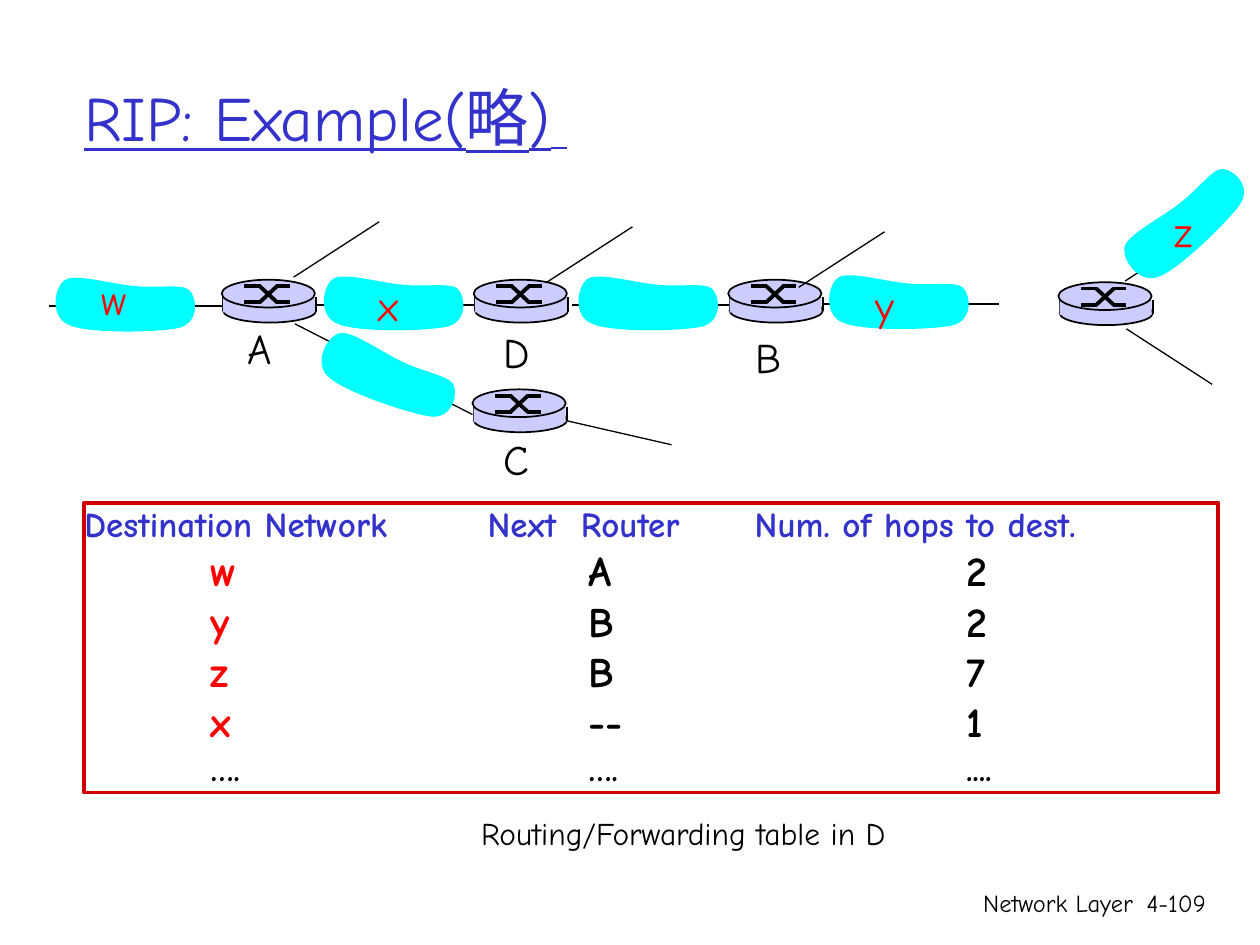
from dataclasses import dataclass

import lxml.etree
import pptx
import pptx.dml.color
import pptx.enum.shapes
import pptx.enum.text
import pptx.oxml.ns
import pptx.util

Inches, Pt = pptx.util.Inches, pptx.util.Pt
qn = pptx.oxml.ns.qn
MSO_SHAPE = pptx.enum.shapes.MSO_SHAPE
PP_ALIGN, MSO_ANCHOR = pptx.enum.text.PP_ALIGN, pptx.enum.text.MSO_ANCHOR
FIT = pptx.enum.text.MSO_AUTO_SIZE.SHAPE_TO_FIT_TEXT
FONT = "Comic Neue"
COLORS = {"ink": "000000", "blue": "3333CC", "red": "FF0000",
          "frame": "CC0000", "network": "00FFFF", "router": "CCCCFF"}


@dataclass
class Line:
    x1: float
    y1: float
    x2: float
    y2: float
    width: float = 0.75


@dataclass
class Network:
    x: float
    y: float
    rotation: float = 0


@dataclass
class Label:
    text: str
    x: float
    y: float
    w: float
    h: float = 0.5
    size: float = 24
    color: str = "ink"
    wrap: bool = False
    align: PP_ALIGN = PP_ALIGN.LEFT


WIRES = [Line(x, y, x + 1.4, y, 1) for x, y in
         [(0.39, 2.43), (2.52, 2.42), (4.54, 2.42), (6.53, 2.41)]]
ROUTERS = [(3.76, 2.22), (1.76, 2.22), (3.75, 3.09), (5.78, 2.22), (8.4, 2.24)]
SPOKES = [Line(x, y, x + 0.68, y - 0.44) for x, y in
          [(2.33, 2.2), (4.34, 2.24), (6.34, 2.28), (8.93, 2.23)]]
SPOKES += [Line(8.94, 2.61, 9.62, 3.05), Line(2.34, 2.57, 3.75, 3.29),
           Line(4.5, 3.34, 5.33, 3.53)]
NETWORKS = [Network(2.52, 2.16), Network(2.48, 2.74, 19.7), Network(0.39, 2.17),
            Network(4.54, 2.16), Network(6.53, 2.15), Network(8.8, 1.53, 316.8)]
# Start point, then three Bezier points for each of five curves
NETWORK_OUTLINE = [
    (0.68, 0.1),
    (0.52, 0.09), (0.22, 0), (0.13, 0.05),
    (0.04, 0.1), (0, 0.35), (0.16, 0.41),
    (0.31, 0.48), (0.88, 0.47), (1.04, 0.43),
    (1.2, 0.38), (1.17, 0.18), (1.11, 0.13),
    (1.05, 0.08), (0.84, 0.12), (0.68, 0.1),
]
ROUTER_SIDES = [Line(x, 0.14, x, 0.25, 1) for x in (0.01, 0.75)]
ROUTER_CROSS = [Line(*ends, 2.25) for ends in [
    (0.18, 0.05, 0.31, 0.05), (0.43, 0.18, 0.54, 0.18), (0.3, 0.05, 0.44, 0.18),
    (0.18, 0.18, 0.31, 0.18), (0.43, 0.05, 0.54, 0.05), (0.3, 0.18, 0.44, 0.05)]]
LABELS = [
    Label("w", 0.71, 2.12, 0.43, color="red"),
    Label("x", 2.91, 2.17, 0.4, color="red"),
    Label("y", 6.85, 2.17, 0.38, color="red"),
    Label("z", 9.22, 1.58, 0.38, color="red"),
    Label("A", 1.87, 2.51, 0.44),
    Label("C", 3.9, 3.39, 0.4),
    Label("D", 3.9, 2.54, 0.44),
    Label("B", 5.9, 2.58, 0.41),
    Label("Routing/Forwarding table in D", 3.72, 6.41, 3.7, 0.4, 18),
    Label("Network Layer", 5.92, 7, 3.17, size=14, wrap=True, align=PP_ALIGN.RIGHT),
    Label("4-109", 8.93, 7, 0.74, size=14, wrap=True, align=PP_ALIGN.RIGHT),
]
HEADER = "Destination Network\tNext\tRouter\tNum. of hops to dest."
HEADER_TABS = (3.2, 3.94, 5.32)
ROUTES = [("w", "A", "2"), ("y", "B", "2"), ("z", "B", "7"), ("x", "--", "1")]
ROUTE_TABS = (1, 4, 7)


def rgb(name: str) -> pptx.dml.color.RGBColor:
    return pptx.dml.color.RGBColor.from_string(COLORS[name])


def add_run(p, text: str, size: float, color: str, bold=None, underline=None) -> None:
    r = p.add_run()
    r.text = text
    r.font.name, r.font.size = FONT, Pt(size)
    r.font.bold, r.font.underline = bold, underline
    r.font.color.rgb = rgb(color)


def add_line(shapes, line: Line, dx: float = 0, dy: float = 0) -> None:
    s = shapes.add_connector(
        pptx.enum.shapes.MSO_CONNECTOR.STRAIGHT,
        Inches(line.x1 + dx), Inches(line.y1 + dy),
        Inches(line.x2 + dx), Inches(line.y2 + dy))
    s.line.color.rgb = rgb("ink")
    s.line.width = Pt(line.width)
    lxml.etree.SubElement(s._element.spPr, qn("a:effectLst"))


def style(s, fill=None, line=None, width: float = 1) -> None:
    s.shadow.inherit = False
    if fill:
        s.fill.solid()
        s.fill.fore_color.rgb = rgb(fill)
    else:
        s.fill.background()
    if line:
        s.line.color.rgb = rgb(line)
        s.line.width = Pt(width)
    else:
        s.line.fill.background()


def add_router(shapes, x: float, y: float) -> None:
    group = shapes.add_group_shape().shapes

    def part(kind, dx: float, dy: float, w: float, h: float, line=None) -> None:
        s = group.add_shape(kind, Inches(x + dx), Inches(y + dy), Inches(w), Inches(h))
        style(s, "router", line)

    part(MSO_SHAPE.OVAL, 0.01, 0.15, 0.74, 0.19, "ink")
    for side in ROUTER_SIDES:
        add_line(group, side, x, y)
    part(MSO_SHAPE.RECTANGLE, 0.01, 0.14, 0.73, 0.12)
    part(MSO_SHAPE.OVAL, 0, 0, 0.74, 0.22, "ink")
    for stroke in ROUTER_CROSS:
        add_line(group, stroke, x, y)


def add_network(shapes, network: Network) -> None:
    """Draw the outline, turning each three line points into one Bezier curve."""
    points = [(Inches(network.x + x), Inches(network.y + y)) for x, y in NETWORK_OUTLINE]
    builder = shapes.build_freeform(*points[0], scale=1.0)
    builder.add_line_segments(points[1:], close=True)
    s = builder.convert_to_shape()
    segments = list(s._element.iter(qn("a:lnTo")))
    for first, second, third in zip(segments[::3], segments[1::3], segments[2::3]):
        first.tag = qn("a:cubicBezTo")
        for extra in (second, third):
            first.append(extra[0])
            extra.getparent().remove(extra)
    style(s, "network")
    s.rotation = network.rotation


def add_label(shapes, label: Label) -> None:
    s = shapes.add_textbox(Inches(label.x), Inches(label.y), Inches(label.w), Inches(label.h))
    tf = s.text_frame
    tf.word_wrap = label.wrap
    if not label.wrap:
        tf.auto_size = FIT
    p = tf.paragraphs[0]
    p.alignment = label.align
    add_run(p, label.text, label.size, label.color)


def set_tabs(p, stops: tuple) -> None:
    p.alignment = PP_ALIGN.LEFT
    tabs = lxml.etree.SubElement(p._p.get_or_add_pPr(), qn("a:tabLst"))
    for stop in stops:
        lxml.etree.SubElement(tabs, qn("a:tab"), pos=str(Inches(stop)), algn="l")


def add_routing_table(shapes) -> None:
    s = shapes.add_shape(MSO_SHAPE.RECTANGLE, Inches(0.67), Inches(3.99), Inches(9), Inches(2.3))
    style(s, line="frame", width=2.25)
    tf = s.text_frame
    tf.word_wrap, tf.auto_size, tf.vertical_anchor = True, FIT, MSO_ANCHOR.TOP
    tf.margin_left = tf.margin_right = tf.margin_top = tf.margin_bottom = 0
    p = tf.paragraphs[0]
    set_tabs(p, HEADER_TABS)
    add_run(p, HEADER, 20, "blue", bold=True)
    for network, router, hops in ROUTES:
        p = tf.add_paragraph()
        set_tabs(p, ROUTE_TABS)
        add_run(p, f"\t{network}", 24, "red", bold=True)
        add_run(p, f"\t{router}\t{hops}", 24, "ink", bold=True)
    p = tf.add_paragraph()
    set_tabs(p, ROUTE_TABS)
    add_run(p, "\t….\t….\t....", 20, "ink", bold=True)


def add_title(s) -> None:
    s.left, s.top, s.width, s.height = Inches(0.57), Inches(0.3), Inches(8.5), Inches(1.25)
    s.text_frame.vertical_anchor = MSO_ANCHOR.MIDDLE
    p = s.text_frame.paragraphs[0]
    p.alignment = PP_ALIGN.LEFT
    add_run(p, "RIP: Example(略)", 36, "blue", underline=True)
    add_run(p, " ", 28, "blue", underline=True)


def main() -> None:
    prs = pptx.Presentation()
    prs.slide_width, prs.slide_height = Inches(10), Inches(7.5)
    shapes = prs.slides.add_slide(prs.slide_layouts[5]).shapes
    add_title(shapes.title)
    add_routing_table(shapes)
    for wire in WIRES:
        add_line(shapes, wire)
    for x, y in ROUTERS:
        add_router(shapes, x, y)
    for spoke in SPOKES:
        add_line(shapes, spoke)
    for network in NETWORKS:
        add_network(shapes, network)
    for label in LABELS:
        add_label(shapes, label)
    prs.save("out.pptx")


if __name__ == "__main__":
    main()
